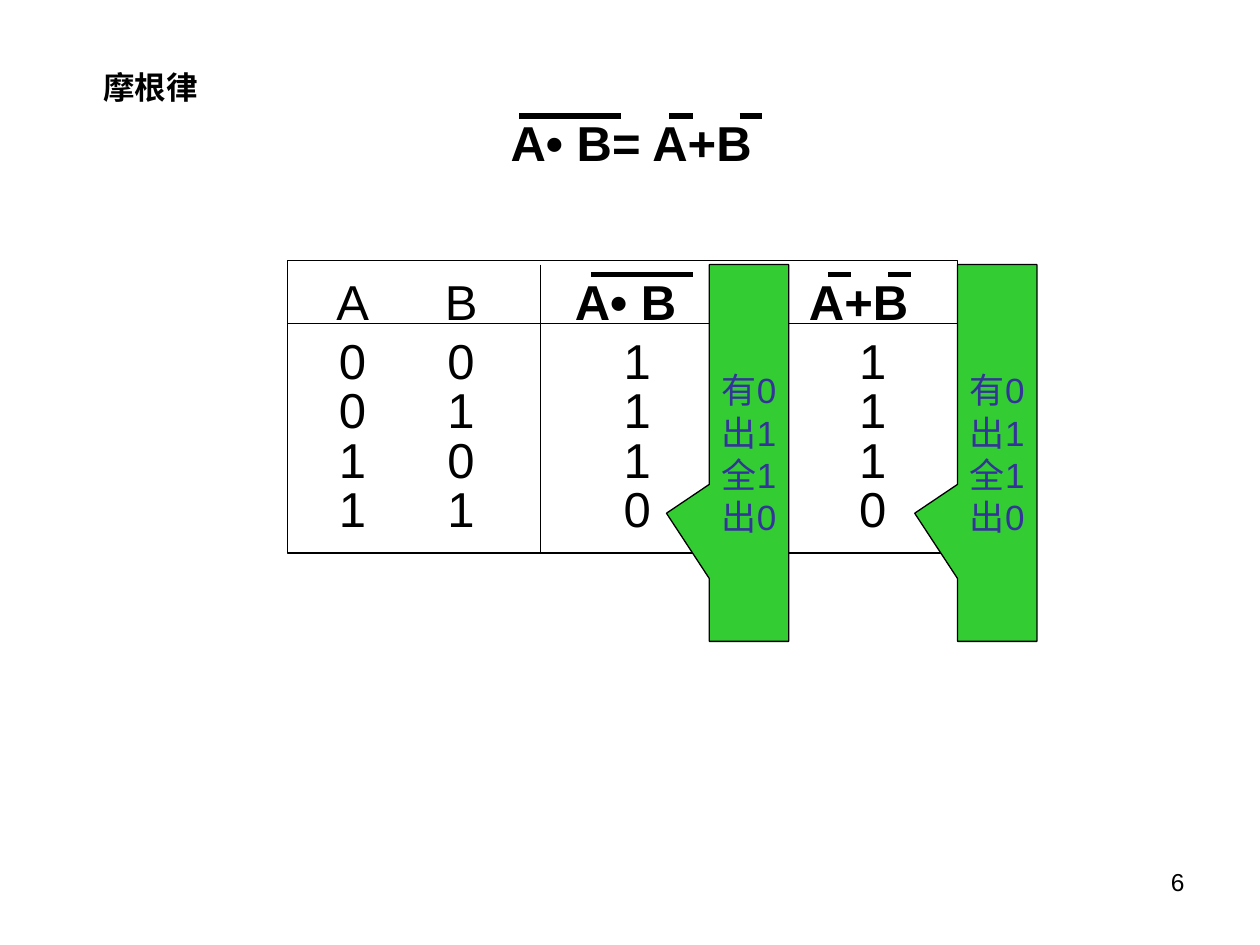
from lxml import etree
from pptx import Presentation
from pptx.dml.color import RGBColor
from pptx.enum.shapes import MSO_CONNECTOR, MSO_SHAPE
from pptx.enum.text import MSO_ANCHOR, MSO_AUTO_SIZE, PP_ALIGN
from pptx.oxml.ns import qn
from pptx.util import Inches, Pt

BLACK, GREEN, INDIGO = "000000", "33CC33", "333399"
TABLE_LEFT, TABLE_TOP, TABLE_RIGHT, TABLE_BOTTOM = 2.28, 2.07, 7.6, 4.39
HEADER_TOP, FIRST_ROW_TOP, ROW_STEP = 2.1, 2.57, 0.393
TEXT_HEIGHT = 0.57
INPUT_ROWS = [("0", "0"), ("0", "1"), ("1", "0"), ("1", "1")]
OUTPUTS = ["1", "1", "1", "0"]


def color(hex_string):
    return RGBColor.from_string(hex_string)


def write(shape, lines, size=28, hex_color=BLACK, bold=False,
          align=PP_ALIGN.CENTER, **frame_format):
    frame = shape.text_frame
    settings = {"word_wrap": True, "vertical_anchor": MSO_ANCHOR.MIDDLE, **frame_format}
    for name, value in settings.items():
        setattr(frame, name, value)
    for index, line in enumerate(lines):
        para = frame.paragraphs[0] if index == 0 else frame.add_paragraph()
        para.alignment = align
        span = para.add_run()
        span.text = line
        font_format = {"name": "Arial", "size": Pt(size), "bold": bold}
        for name, value in font_format.items():
            setattr(span.font, name, value)
        span.font.color.rgb = color(hex_color)


def add_text(page, text, left, top, width, height=TEXT_HEIGHT, **text_format):
    box = page.shapes.add_textbox(*map(Inches, (left, top, width, height)))
    settings = {"auto_size": MSO_AUTO_SIZE.SHAPE_TO_FIT_TEXT, **text_format}
    write(box, [text], **settings)
    return box


def add_line(page, x1, y1, x2, y2, weight=0.75):
    line = page.shapes.add_connector(
        MSO_CONNECTOR.STRAIGHT, *map(Inches, (x1, y1, x2, y2)))
    line.line.color.rgb = color(BLACK)
    line.line.width = Pt(weight)
    etree.SubElement(line._element.spPr, qn("a:effectLst"))


def add_outlined(page, kind, left, top, width, height):
    shape = page.shapes.add_shape(kind, *map(Inches, (left, top, width, height)))
    shape.shadow.inherit = False
    shape.fill.background()
    shape.line.color.rgb = color(BLACK)
    shape.line.width = Pt(0.75)
    return shape


def add_callout(page, left):
    callout = add_outlined(page, MSO_SHAPE.RECTANGULAR_CALLOUT, left, HEADER_TOP, 0.63, 2.99)
    callout.adjustments[0] = -1.04
    callout.adjustments[1] = 0.16
    callout.fill.solid()
    callout.fill.fore_color.rgb = color(GREEN)
    write(callout, ["有0", "出1全1出0"], size=20, hex_color=INDIGO)


def add_formula(page, text, left, top, width, bars):
    """Place a formula with negation bars, given as (start, end), above its terms."""
    add_text(page, text, left, top, width, bold=True, margin_right=Inches(0.32))
    for start, end in bars:
        add_line(page, start, top + 0.08, end, top + 0.08, weight=3)


def add_input_row(page, digits, top):
    """Place the two input digits below A and B, parted by a tab stop."""
    box = add_text(page, "\t".join(digits), 2.32, top, 1.81,
                   align=PP_ALIGN.LEFT, margin_left=Inches(0.37))
    properties = box.text_frame.paragraphs[0]._p.get_or_add_pPr()
    tabs = etree.SubElement(properties, qn("a:tabLst"))
    etree.SubElement(tabs, qn("a:tab"), pos=str(Inches(0.86)), algn="l")


def add_truth_table(page):
    add_outlined(page, MSO_SHAPE.RECTANGLE, TABLE_LEFT, TABLE_TOP,
                 TABLE_RIGHT - TABLE_LEFT, TABLE_BOTTOM - TABLE_TOP)
    add_line(page, TABLE_LEFT, FIRST_ROW_TOP, TABLE_RIGHT, FIRST_ROW_TOP)
    for x in (4.29, 5.95):
        add_line(page, x, HEADER_TOP, x, 4.38)
    for name, left in (("A", 2.57), ("B", 3.43)):
        add_text(page, name, left, HEADER_TOP, 0.46, word_wrap=False)
    for index, (digits, output) in enumerate(zip(INPUT_ROWS, OUTPUTS)):
        top = FIRST_ROW_TOP + index * ROW_STEP
        add_input_row(page, digits, top)
        for left in (4.85, 6.72):
            add_text(page, output, left, top, 0.41, word_wrap=False)


def main():
    deck = Presentation()
    deck.slide_width, deck.slide_height = Inches(10), Inches(7.5)
    page = deck.slides.add_slide(deck.slide_layouts[6])
    add_text(page, "6", 7.17, 6.83, 2.33, 0.52, size=14, align=PP_ALIGN.RIGHT,
             vertical_anchor=MSO_ANCHOR.TOP, auto_size=MSO_AUTO_SIZE.NONE)
    add_truth_table(page)
    add_callout(page, 5.63)
    add_formula(page, "A• B= A+B", 3.82, 0.84, 2.6,
                [(4.12, 4.93), (5.31, 5.5), (5.87, 6.05)])
    add_formula(page, "A• B", 4.29, HEADER_TOP, 1.57, [(4.69, 5.5)])
    add_formula(page, "A+B", 6.18, HEADER_TOP, 1.49, [(6.57, 6.75), (7.05, 7.23)])
    add_callout(page, TABLE_RIGHT)
    add_text(page, "摩根律", 0.72, 0.49, 0.95, 0.4, size=18, bold=True, word_wrap=False)
    deck.save("out.pptx")


if __name__ == "__main__":
    main()
